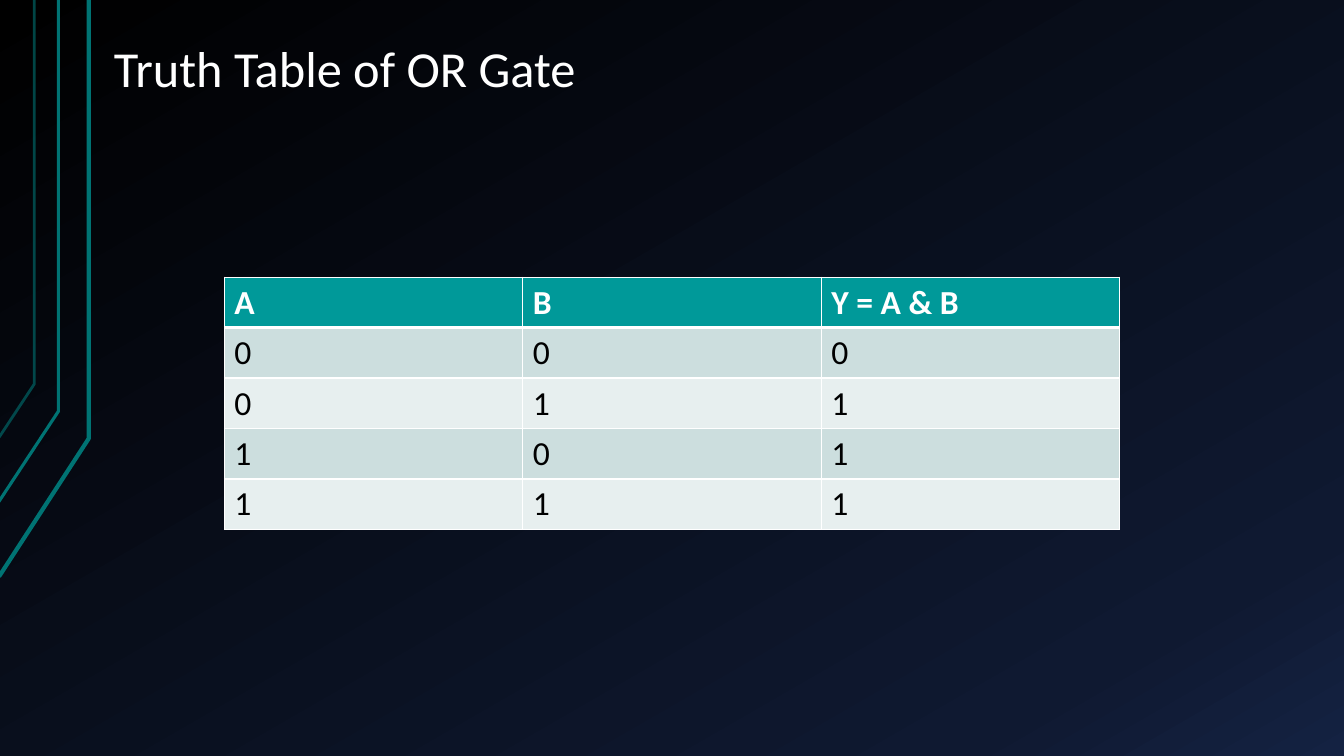
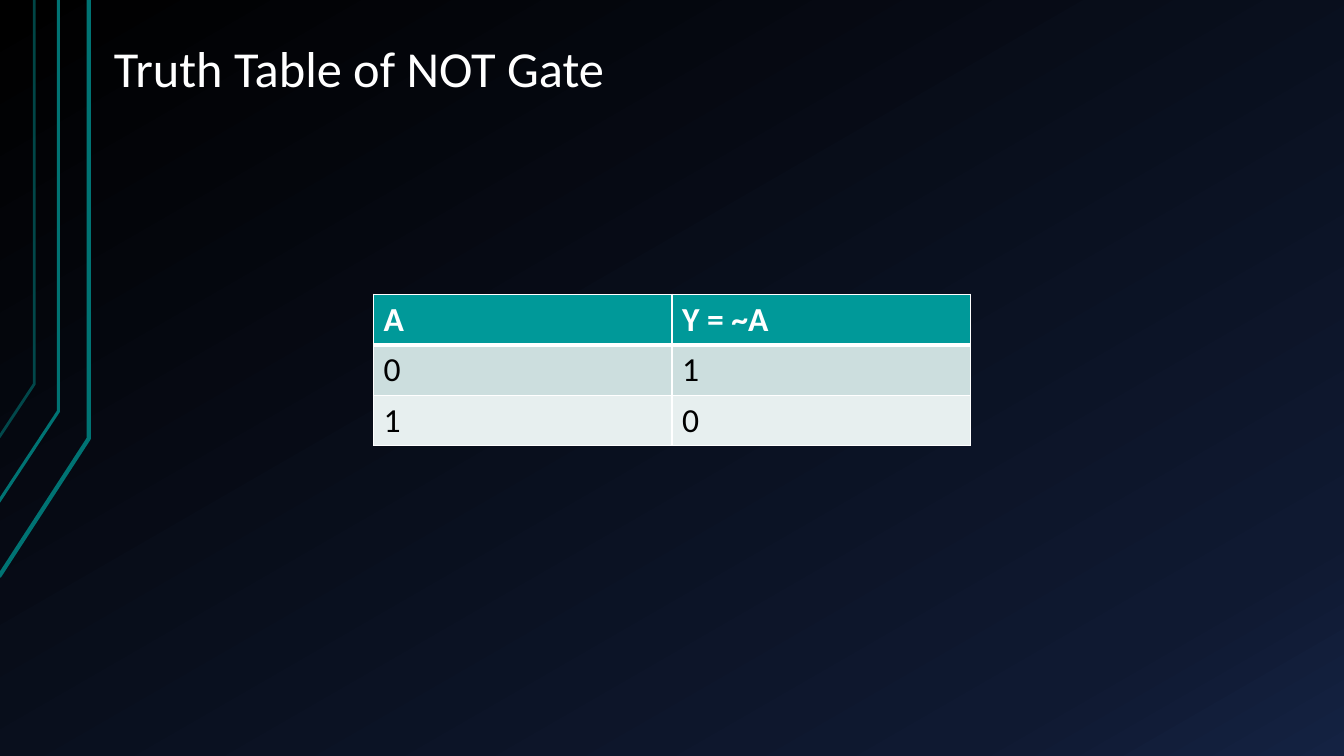
from copy import deepcopy
from dataclasses import dataclass

from lxml.etree import SubElement
from pptx import Presentation
from pptx.dml.color import RGBColor
from pptx.enum.text import MSO_ANCHOR
from pptx.oxml.ns import qn
from pptx.util import Inches, Pt


@dataclass(frozen=True)
class Theme:
    font: str = "Calibri"
    title_size: int = 36
    cell_size: int = 24
    white: str = "FFFFFF"
    black: str = "000000"
    header: str = "009999"
    bands: tuple = ("CCDEDE", "E7EFEF")
    trace: str = "007373"
    gradient: tuple = ((0, "000000"), (0.85, "0F1931"), (1, "142242"))
    gradient_angle: int = 300  # counter-clockwise
    border: int = 1
    header_border: int = 3


THEME = Theme()
SLIDE_WIDTH, SLIDE_HEIGHT = 13.33, 7.5
COLUMN_WIDTH, ROW_HEIGHT = 2.96, 0.5

# Corner traces: points in inches, line width in points, opacity in percent
TRACES = (
    (((-0.01, 5.72), (0.88, 4.35), (0.88, 0)), 3, 100),
    (((-0.02, 4.99), (0.58, 4.08), (0.58, 0)), 2.25, 100),
    (((-0.01, 4.34), (0.34, 3.81), (0.34, 0)), 2, 60),
)

# Title, table top in inches, table rows
TRUTH_TABLES = (
    ("Truth Table of OR Gate", 2.75,
     (("A", "B", "Y = A & B"), "000", "011", "101", "111")),
    ("Truth Table of NOT Gate", 2.92,
     (("A", "Y = ~A"), "01", "10")),
)


def color(value):
    return RGBColor.from_string(value)


def write_text(text_frame, text, *, size, text_color, bold=False, line_spacing=None):
    paragraph = text_frame.paragraphs[0]
    paragraph.line_spacing = line_spacing
    run = paragraph.add_run()
    run.text = text
    run.font.name = THEME.font
    run.font.size = Pt(size)
    run.font.bold = bold
    run.font.color.rgb = color(text_color)


def set_background(master):
    fill = master.background.fill
    fill.gradient()
    fill.gradient_angle = THEME.gradient_angle
    stop_list = master.element.find(".//" + qn("a:gsLst"))
    stop_list.append(deepcopy(stop_list[-1]))
    for stop, (position, value) in zip(fill.gradient_stops, THEME.gradient):
        stop.position = position
        stop.color.rgb = color(value)


def add_trace(slide, points, width, opacity):
    start, *rest = [(Inches(x), Inches(y)) for x, y in points]
    builder = slide.shapes.build_freeform(*start)
    builder.add_line_segments(rest, close=False)
    shape = builder.convert_to_shape()
    shape.shadow.inherit = False
    shape.fill.background()
    shape.line.color.rgb = color(THEME.trace)
    shape.line.width = Pt(width)
    if opacity < 100:
        line_color = shape.line._get_or_add_ln().find(".//" + qn("a:srgbClr"))
        SubElement(line_color, qn("a:alpha"), val=str(opacity * 1000))


def add_title(slide, text):
    box = slide.shapes.add_textbox(Inches(1), Inches(0.33), Inches(11.33), Inches(0.72))
    frame = box.text_frame
    frame.word_wrap = True
    frame.vertical_anchor = MSO_ANCHOR.BOTTOM
    frame.margin_left = frame.margin_right = Inches(0.13)
    frame.margin_top = frame.margin_bottom = Inches(0.07)
    write_text(frame, text, size=THEME.title_size, text_color=THEME.white, line_spacing=0.9)


def set_borders(cell, **widths):
    properties = cell._tc.get_or_add_tcPr()
    for index, side in enumerate("LRTB"):
        width = widths.get(side, THEME.border)
        line = SubElement(properties, qn(f"a:ln{side}"), w=str(Pt(width)))
        fill = SubElement(line, qn("a:solidFill"))
        SubElement(fill, qn("a:srgbClr"), val=THEME.white)
        properties.insert(index, line)  # borders precede the cell fill


def format_cell(cell, text, row):
    is_header = row == 0
    cell.fill.solid()
    cell.fill.fore_color.rgb = color(THEME.header if is_header else THEME.bands[(row - 1) % 2])
    write_text(cell.text_frame, text, size=THEME.cell_size, bold=is_header,
               text_color=THEME.white if is_header else THEME.black)
    # The heavy rule is shared by the header and the first body row
    heavy_side = {0: "B", 1: "T"}.get(row)
    set_borders(cell, **({heavy_side: THEME.header_border} if heavy_side else {}))


def add_truth_table(slide, rows, top):
    column_count = len(rows[0])
    width = column_count * COLUMN_WIDTH
    table = slide.shapes.add_table(
        len(rows), column_count, Inches((SLIDE_WIDTH - width) / 2), Inches(top),
        Inches(width), Inches(len(rows) * ROW_HEIGHT)).table
    table.horz_banding = False
    for row, values in enumerate(rows):
        for column, text in enumerate(values):
            format_cell(table.cell(row, column), text, row)


def main():
    presentation = Presentation()
    presentation.slide_width = Inches(SLIDE_WIDTH)
    presentation.slide_height = Inches(SLIDE_HEIGHT)
    set_background(presentation.slide_master)
    for title, top, rows in TRUTH_TABLES:
        slide = presentation.slides.add_slide(presentation.slide_layouts[6])
        for trace in TRACES:
            add_trace(slide, *trace)
        add_title(slide, title)
        add_truth_table(slide, rows, top)
    presentation.save("out.pptx")


if __name__ == "__main__":
    main()
